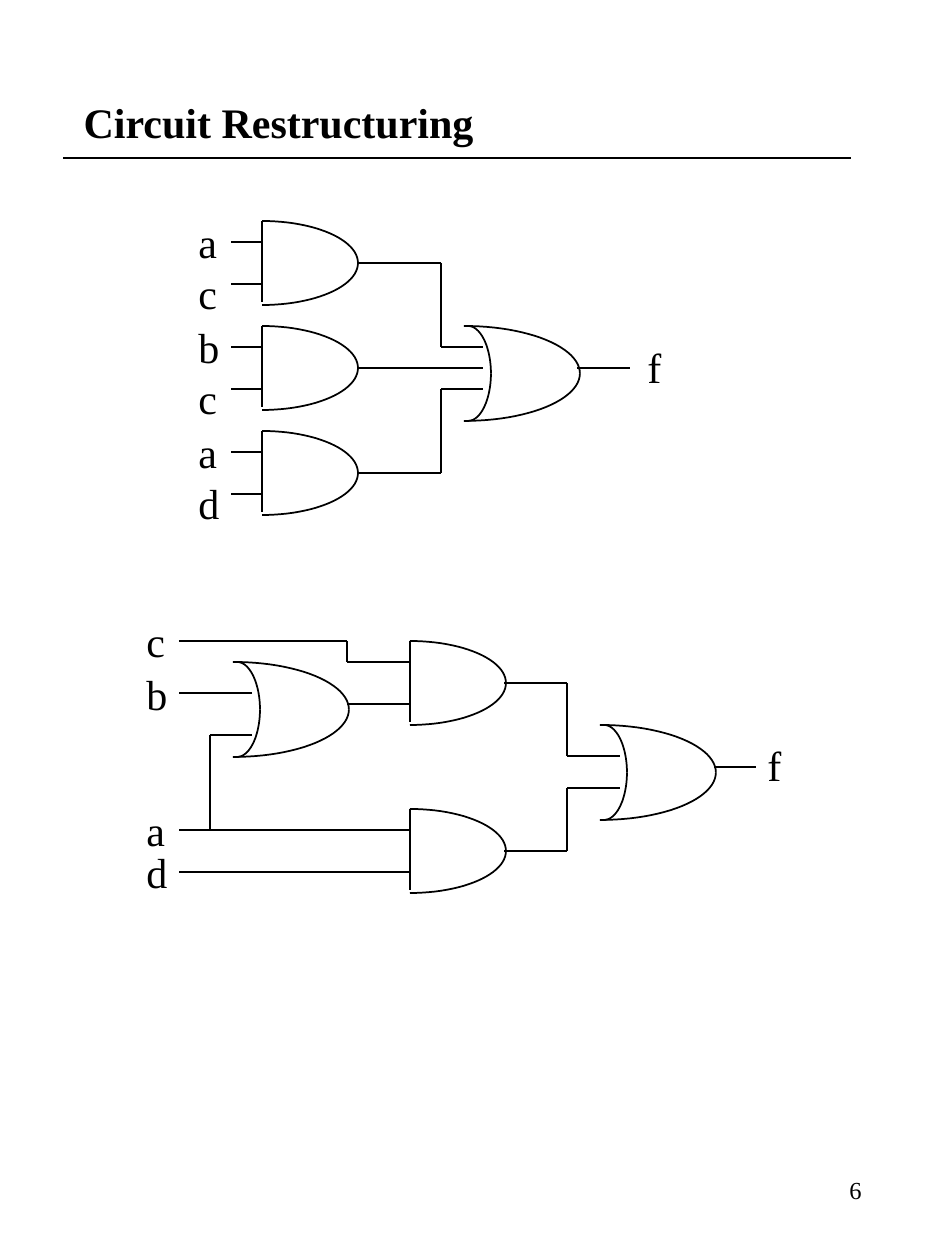
from dataclasses import dataclass
from math import cos, pi, sin
from typing import Any

from pptx import Presentation
from pptx.dml.color import RGBColor
from pptx.enum.shapes import MSO_CONNECTOR as Conn
from pptx.enum.text import MSO_ANCHOR as Anchor, MSO_AUTO_SIZE as Fit, PP_ALIGN as Align
from pptx.oxml.ns import qn
from pptx.util import Emu, Pt
from lxml.etree import SubElement

BLACK = RGBColor(0, 0, 0)
FONT = "Times New Roman"
STEPS = 24  # segments in a quarter arc


@dataclass
class Gate:
    kind: str
    x: int
    y: int


@dataclass
class Wire:
    points: list[tuple[int, int]]


@dataclass
class Label:
    x: int
    y: int
    w: int
    lines: str


@dataclass
class Circuit:
    gates: list[Gate]
    wires: list[Wire]
    labels: list[Label]


def px(n: float) -> Emu:
    return Emu(round(n * 914400 / 126))


def ink(line: Any) -> None:
    line.color.rgb = BLACK
    line.width = Pt(1)


def rule(shapes: Any, x1: int, y1: int, x2: int, y2: int) -> None:
    line = shapes.add_connector(Conn.STRAIGHT, px(x1), px(y1), px(x2), px(y2))
    ink(line.line)
    SubElement(line._element.spPr, qn("a:effectLst"))


def arc(shapes: Any, x: int, mid: float, w: int, h: float) -> None:
    """Draw a quarter ellipse; a negative h puts it above mid."""
    turns = [pi / 2 * i / STEPS for i in range(STEPS + 1)]
    points = [(px(x + w * sin(t)), px(mid + h * cos(t))) for t in turns]
    path = shapes.build_freeform(*points[0], scale=1.0)
    path.add_line_segments(points[1:], close=False)
    curve = path.convert_to_shape()
    curve.shadow.inherit = False
    curve.fill.background()
    ink(curve.line)


def bow(shapes: Any, x: int, y: int, w: int, h: int) -> None:
    for half in (-h / 2, h / 2):
        arc(shapes, x, y + h / 2, w, half)


def draw_gate(shapes: Any, gate: Gate) -> None:
    if gate.kind == "and":
        bow(shapes, gate.x, gate.y, 96, 84)
        rule(shapes, gate.x, gate.y, gate.x, gate.y + 81)
    else:
        bow(shapes, gate.x, gate.y, 116, 95)
        bow(shapes, gate.x + 4, gate.y, 23, 95)


def add_run(para: Any, text: str, size: int, bold: bool = False) -> None:
    run = para.add_run()
    run.text = text
    font = run.font
    font.name, font.size, font.bold = FONT, Pt(size), bold
    font.color.rgb = BLACK


def draw_label(shapes: Any, label: Label) -> None:
    high = 12 + 51 * len(label.lines)
    box = shapes.add_textbox(px(label.x), px(label.y), px(label.w), px(high))
    frame = box.text_frame
    frame.word_wrap = False
    for i, text in enumerate(label.lines):
        para = frame.paragraphs[0] if i == 0 else frame.add_paragraph()
        para.line_spacing = Pt(29)
        add_run(para, text, 24)


def draw(slide: Any, plan: Circuit) -> None:
    shapes = slide.shapes.add_group_shape().shapes
    for gate in plan.gates:
        draw_gate(shapes, gate)
    for wire in plan.wires:
        for start, end in zip(wire.points, wire.points[1:]):
            rule(shapes, *start, *end)
    for label in plan.labels:
        draw_label(shapes, label)


# Sum of products: three AND gates feed one OR gate
ROWS = [221 + 105 * i for i in range(3)]
FIRST = Circuit(
    gates=[Gate("or", 464, 326)] + [Gate("and", 262, y) for y in ROWS],
    wires=[Wire([(262, y + d), (231, y + d)]) for y in ROWS for d in (21, 63)] + [
        Wire([(357, 263), (441, 263), (441, 347), (483, 347)]),
        Wire([(357, 368), (483, 368)]),
        Wire([(357, 473), (441, 473), (441, 389), (483, 389)]),
        Wire([(577, 368), (630, 368)]),
    ],
    labels=[Label(186, y - 11, 46, pair) for y, pair in zip(ROWS, ("ac", "bc", "ad"))]
    + [Label(635, 335, 39, "f")],
)

# Factored form: a and b share an OR gate
SECOND = Circuit(
    gates=[Gate("and", 410, 641), Gate("and", 410, 809),
           Gate("or", 600, 725), Gate("or", 233, 662)],
    wires=[
        Wire([(179, 641), (347, 641), (347, 662), (410, 662)]),
        Wire([(252, 693), (179, 693)]),
        Wire([(347, 704), (410, 704)]),
        Wire([(410, 830), (179, 830)]),
        Wire([(410, 872), (179, 872)]),
        Wire([(252, 735), (210, 735), (210, 830)]),
        Wire([(504, 683), (567, 683), (567, 756), (620, 756)]),
        Wire([(504, 851), (567, 851), (567, 788), (620, 788)]),
        Wire([(714, 767), (756, 767)]),
    ],
    labels=[Label(134, 609, 46, "c"), Label(134, 662, 46, "b"),
            Label(134, 798, 46, "a"), Label(134, 840, 46, "d"),
            Label(755, 733, 33, "f")],
)


def main() -> None:
    deck = Presentation()
    deck.slide_width, deck.slide_height = px(945), px(1260)
    slide = deck.slides.add_slide(deck.slide_layouts[5])

    # Title and its rule
    title = slide.shapes.title
    title.left, title.top, title.width, title.height = px(71), px(32), px(803), px(179)
    frame = title.text_frame
    frame.auto_size = Fit.NONE
    frame.vertical_anchor = Anchor.MIDDLE
    para = frame.paragraphs[0]
    para.alignment = Align.LEFT
    add_run(para, "Circuit Restructuring", 24, bold=True)
    rule(slide.shapes, 63, 158, 851, 158)

    # Circuits
    for plan in (FIRST, SECOND):
        draw(slide, plan)

    # Page number
    box = slide.shapes.add_textbox(px(678), px(1148), px(196), px(84))
    frame = box.text_frame
    frame.word_wrap = True
    frame.vertical_anchor = Anchor.MIDDLE
    para = frame.paragraphs[0]
    para.alignment = Align.RIGHT
    add_run(para, "6", 14)

    deck.save("out.pptx")


if __name__ == "__main__":
    main()
